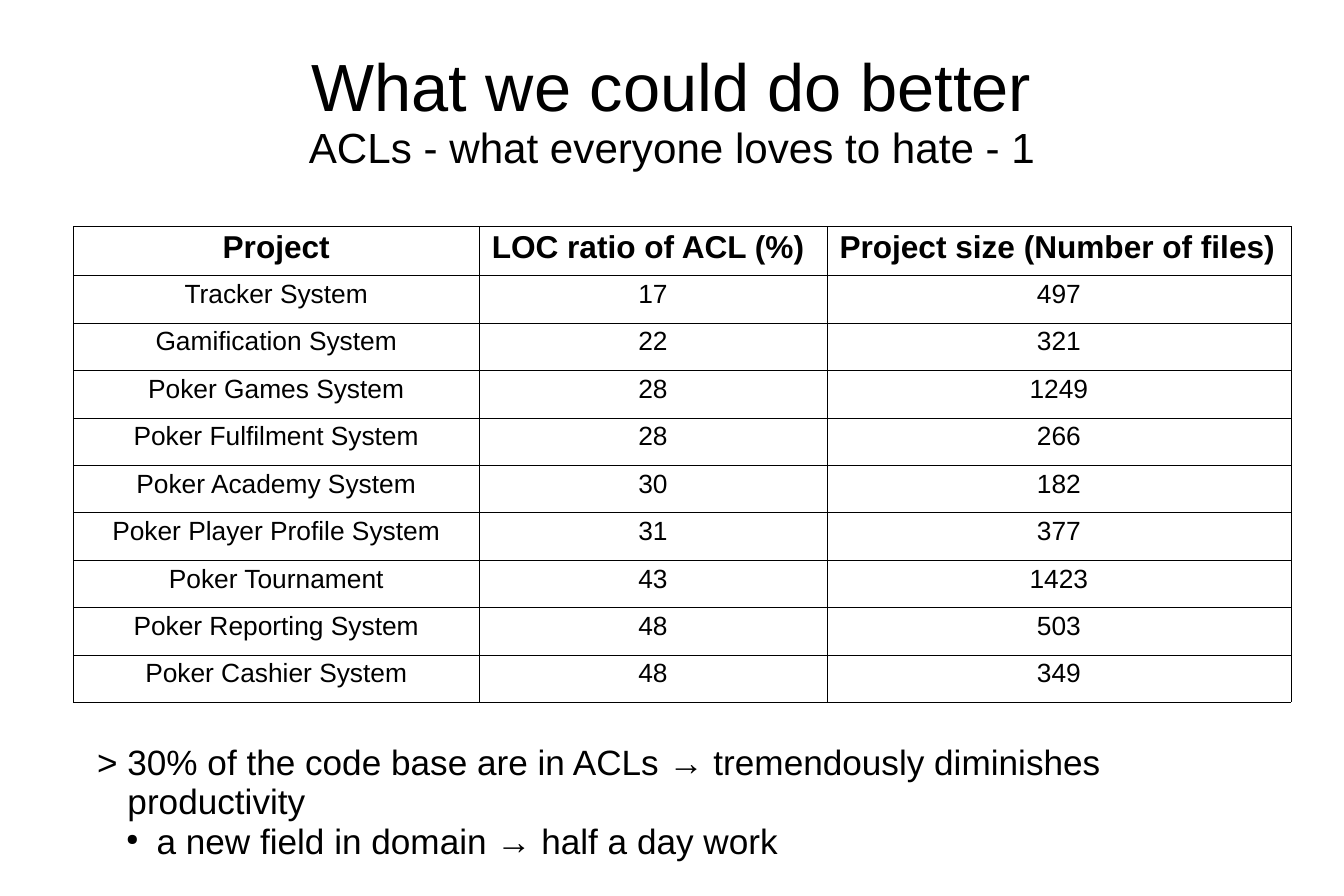
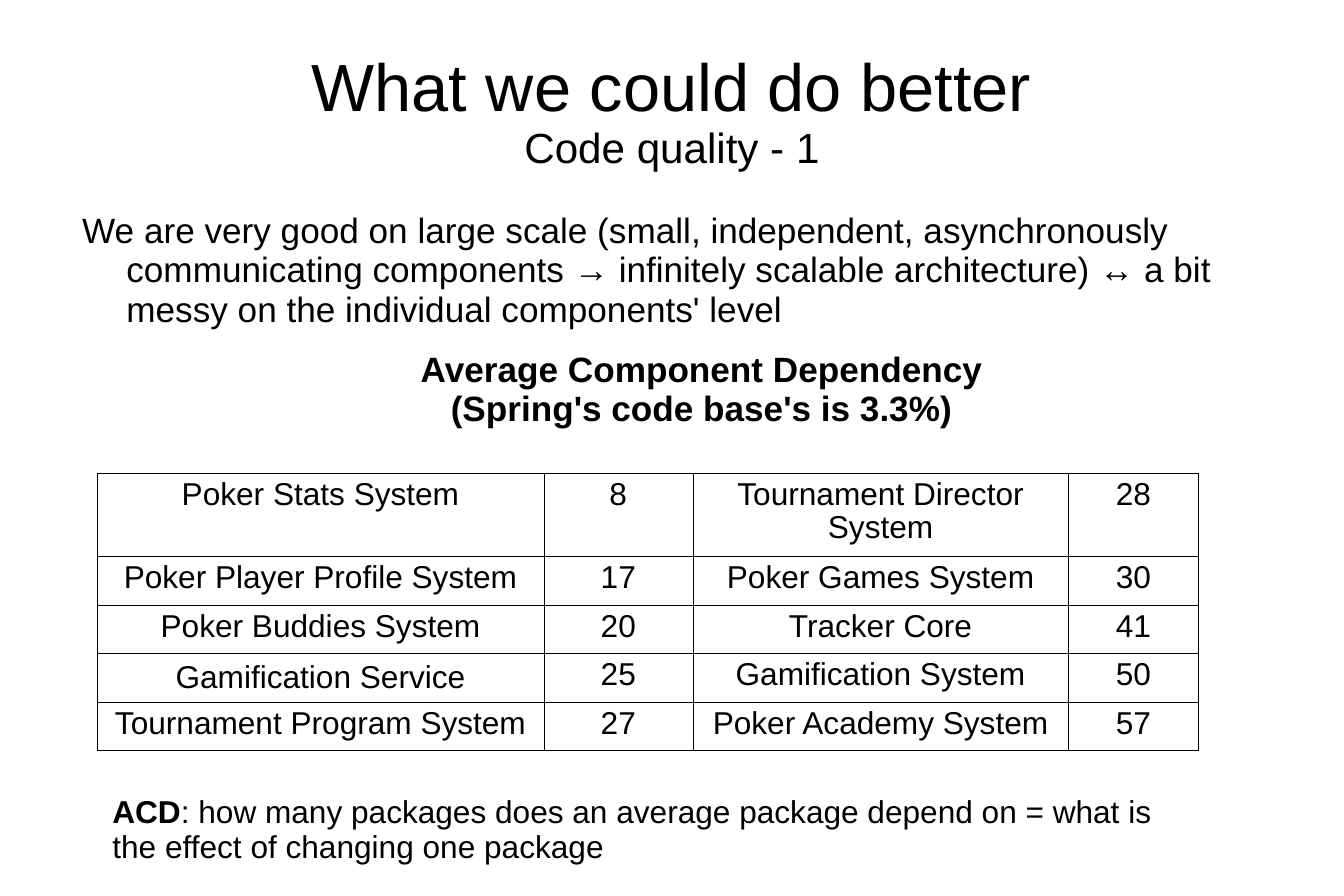
"""Build two slides on ACL share and code quality."""
from dataclasses import dataclass

from lxml.etree import SubElement
from pptx import Presentation
from pptx.dml.color import RGBColor
from pptx.enum.text import MSO_ANCHOR, PP_ALIGN
from pptx.oxml.ns import qn
from pptx.util import Inches, Pt


@dataclass(frozen=True)
class Theme:
    ink: str = "000000"
    paper: str = "FFFFFF"
    font: str = "Arial"
    head: int = 38
    sub: int = 24
    body: int = 20
    note: int = 18
    small: int = 15
    lead: float = 0.93
    rule: float = 0.06


class Deck:
    def __init__(self, theme):
        self.theme = theme
        self.show = Presentation()
        self.show.slide_width = Inches(10.63)
        self.show.slide_height = Inches(7.09)
        self.slide = None

    def page(self, head, sub):
        self.slide = self.show.slides.add_slide(self.show.slide_layouts[6])
        fill = self.slide.background.fill
        fill.solid()
        fill.fore_color.rgb = RGBColor.from_string(self.theme.paper)
        frame = self.box((0.53, 0.28, 9.57, 1.18), (0, 0.04, 0, 0))
        frame.vertical_anchor = MSO_ANCHOR.MIDDLE
        para = frame.paragraphs[0]
        para.text = f"{head}\v{sub}"
        self.style(para, self.theme.head, align=PP_ALIGN.CENTER)
        para.runs[1].font.size = Pt(self.theme.sub)

    def box(self, area, inset=(0.1, 0.07, 0.1, 0.05)):
        frame = self.slide.shapes.add_textbox(*map(Inches, area)).text_frame
        frame.word_wrap = True
        (frame.margin_left, frame.margin_top,
         frame.margin_right, frame.margin_bottom) = map(Inches, inset)
        return frame

    def style(self, para, size, bold=False, align=PP_ALIGN.LEFT):
        para.alignment = align
        para.line_spacing = self.theme.lead
        for run in para.runs:
            font = run.font
            font.name = self.theme.font
            font.size = Pt(size)
            font.bold = bold
            font.color.rgb = RGBColor.from_string(self.theme.ink)

    def indent(self, para, left, first=0):
        props = para._p.get_or_add_pPr()
        props.set("marL", str(Inches(left)))
        props.set("indent", str(Inches(first)))
        return props

    def bullet(self, para, left, first):
        para.level = 1
        props = self.indent(para, left, first)
        color = SubElement(props, qn("a:buClr"))
        SubElement(color, qn("a:srgbClr"), val=self.theme.ink)
        SubElement(props, qn("a:buSzPct"), val="45000")
        SubElement(props, qn("a:buChar"), char="●")

    def border(self, cell):
        props = cell._tc.get_or_add_tcPr()
        for side in ("lnL", "lnR", "lnT", "lnB"):
            line = SubElement(props, qn(f"a:{side}"), w=str(Pt(self.theme.rule)))
            fill = SubElement(line, qn("a:solidFill"))
            SubElement(fill, qn("a:srgbClr"), val=self.theme.ink)

    def table(self, area, cols, first, rows, size):
        shape = self.slide.shapes.add_table(len(rows), len(cols), *map(Inches, area))
        table = shape.table
        table.first_row = table.horz_banding = False
        for col, width in zip(table.columns, cols):
            col.width = Inches(width)
        rest = (area[3] - first) / (len(rows) - 1)
        for r, values in enumerate(rows):
            table.rows[r].height = Inches(rest if r else first)
            for c, value in enumerate(values):
                cell = table.cell(r, c)
                cell.text_frame.text = str(value)
                self.border(cell)
                cell.fill.solid()
                cell.fill.fore_color.rgb = RGBColor.from_string(self.theme.paper)
                self.style(cell.text_frame.paragraphs[0], size, align=PP_ALIGN.CENTER)
        return table


def ratios(deck):
    theme = deck.theme
    deck.page("What we could do better", "ACLs - what everyone loves to hate - 1")
    rows = [
        ("Project", "LOC ratio of ACL (%)", "Project size (Number of files)"),
        ("Tracker System", 17, 497),
        ("Gamification System", 22, 321),
        ("Poker Games System", 28, 1249),
        ("Poker Fulfilment System", 28, 266),
        ("Poker Academy System", 30, 182),
        ("Poker Player Profile System", 31, 377),
        ("Poker Tournament", 43, 1423),
        ("Poker Reporting System", 48, 503),
        ("Poker Cashier System", 48, 349),
    ]
    table = deck.table((0.58, 1.79, 9.63, 3.77), (3.21, 2.75, 3.67), 0.39, rows, theme.small)
    for c, cell in enumerate(table.rows[0].cells):
        align = PP_ALIGN.LEFT if c else PP_ALIGN.CENTER
        deck.style(cell.text_frame.paragraphs[0], theme.note, True, align)
    frame = deck.box((0.67, 5.82, 9.13, 1.03))
    frame.text = ("> 30% of the code base are in ACLs → tremendously diminishes productivity\n"
                  "a new field in domain → half a day work")
    claim, proof = frame.paragraphs
    deck.indent(claim, 0.24, -0.24)
    deck.bullet(proof, 0.47, -0.24)
    for para in (claim, proof):
        deck.style(para, theme.body)


def quality(deck):
    theme = deck.theme
    deck.page("What we could do better", "Code quality - 1")
    frame = deck.box((0.53, 1.66, 9.57, 4.68), (0, 0.02, 0, 0))
    intro = frame.paragraphs[0]
    intro.text = ("We are very good on large scale (small, independent, asynchronously "
                  "communicating components → infinitely scalable architecture) ↔ a bit "
                  "messy on the individual components' level")
    deck.indent(intro, 0.47, -0.35)
    deck.style(intro, theme.body)
    label = frame.add_paragraph()
    label.text = "Average Component Dependency\v(Spring's code base's is 3.3%)"
    deck.indent(label, 0.47)
    deck.style(label, theme.body, True, PP_ALIGN.CENTER)
    for para in (intro, label):
        para.space_after = Pt(12.1)
    rows = [
        ("Poker Stats System", 8, "Tournament Director System", 28),
        ("Poker Player Profile System", 17, "Poker Games System", 30),
        ("Poker Buddies System", 20, "Tracker Core", 41),
        ("Gamification Service", 25, "Gamification System", 50),
        ("Tournament Program System", 27, "Poker Academy System", 57),
    ]
    table = deck.table((0.77, 3.74, 8.71, 2.2), (3.53, 1.18, 2.97, 1.03), 0.66, rows, theme.note)
    table.cell(3, 0).vertical_anchor = MSO_ANCHOR.BOTTOM
    para = deck.box((0.79, 6.22, 8.82, 0.77)).paragraphs[0]
    para.text = "ACD"
    para.add_run().text = (": how many packages does an average package depend on = "
                           "what is the effect of changing one package")
    deck.style(para, theme.note)
    para.runs[0].font.bold = True


def main():
    deck = Deck(Theme())
    ratios(deck)
    quality(deck)
    deck.show.save("out.pptx")


if __name__ == "__main__":
    main()
